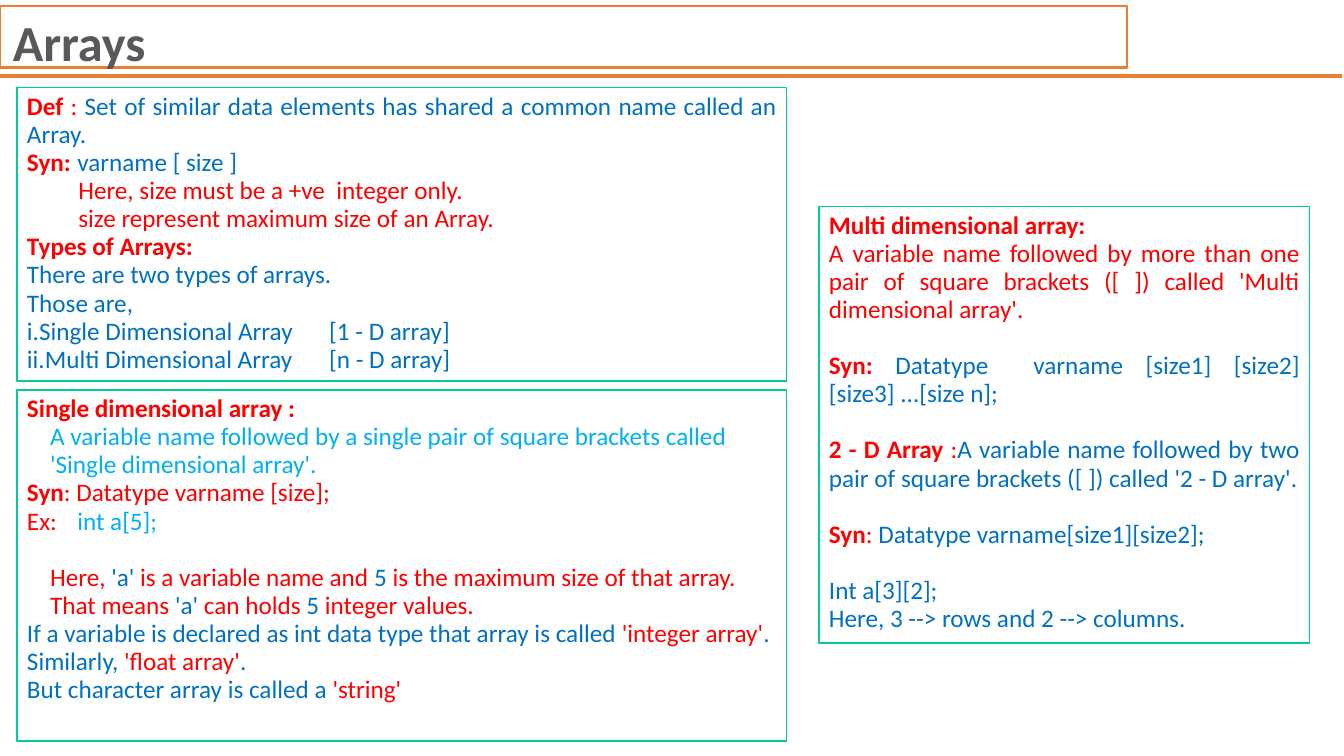
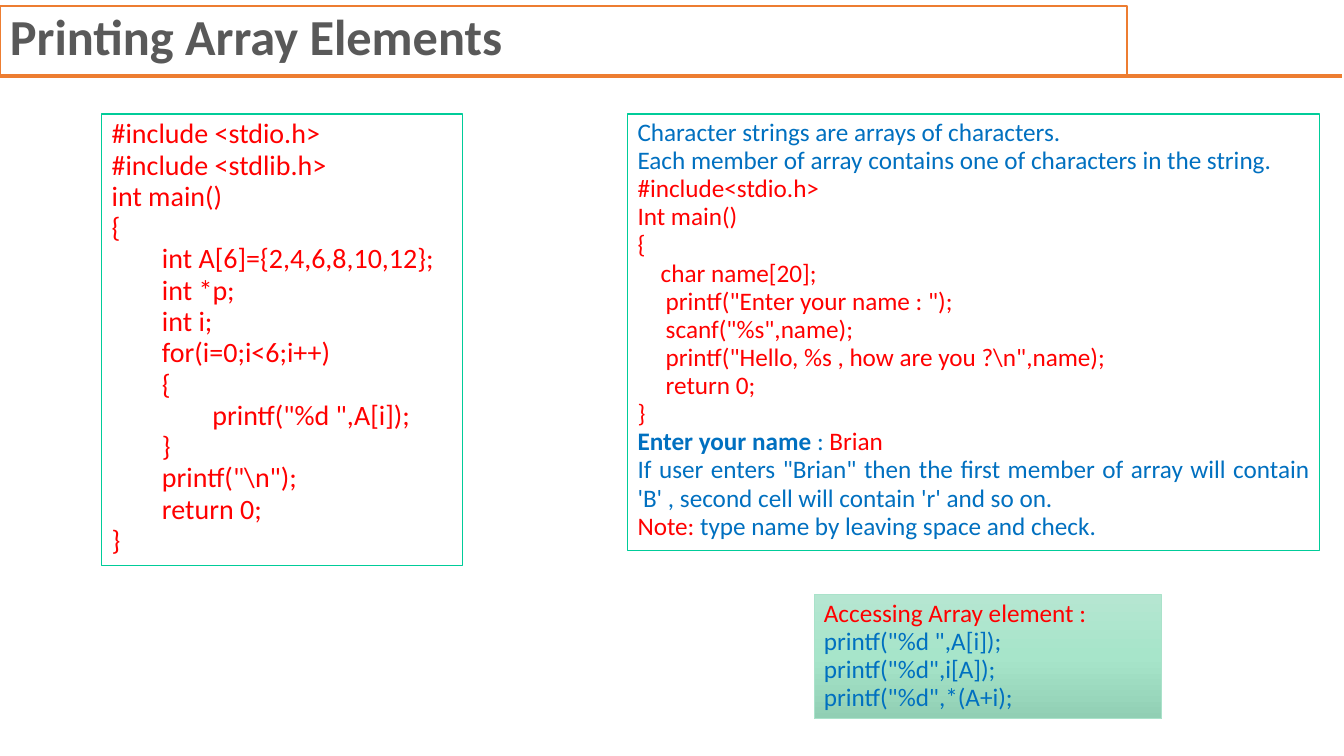
"""Builds two lecture slides about arrays in C."""
from pptx import Presentation
from pptx.dml.color import RGBColor as Rgb
from pptx.enum.shapes import MSO_CONNECTOR as Link, MSO_SHAPE as Form
from pptx.enum.text import MSO_ANCHOR as Anchor, PP_ALIGN as Align
from pptx.oxml.ns import qn
from pptx.util import Inches, Pt
from lxml.etree import SubElement

RED, BLUE, SKY = "FF0000", "0070C0", "00B0F0"
ORANGE, GREEN, GREY, WHITE = "ED7D31", "00CC99", "595959", "FFFFFF"
MINT_EDGE, MINTS = "AAE2CA", [(0, "B5E6D1"), (50, "A7E5CA"), (100, "91CFB4")]
INKS = {"key": (RED, True), "red": (RED, False), "blue": (BLUE, False),
        "prompt": (BLUE, True), "sky": (SKY, False), "title": (GREY, True)}


def colour(hex_code):
    return Rgb.from_string(hex_code)


def line(*runs, indent=0, gap=0, tab=None):
    return {"runs": runs, "indent": indent, "gap": gap, "tab": tab}


def listing(ink, rows):
    return [line((ink, text), indent=indent) for indent, text in rows]


class Deck:
    font, leading, text_gap = "Calibri", 0.93, 20

    def __init__(self, width, height):
        self.show = Presentation()
        self.show.slide_width, self.show.slide_height = Inches(width), Inches(height)
        self.slide = None

    def across(self, percent):
        return round(self.show.slide_width * percent / 100)

    def down(self, percent):
        return round(self.show.slide_height * percent / 100)

    def area(self, left, top, width, height):
        return self.across(left), self.down(top), self.across(width), self.down(height)

    def new_slide(self, title, title_at, band_height):
        self.slide = self.show.slides.add_slide(self.show.slide_layouts[6])
        self.rule(10.07)
        self.rect((0, 0.8, 83.88, band_height), ORANGE, 1.5).fill.background()
        heading = self.slide.shapes.add_textbox(*self.area(*title_at, 60, 10.8))
        self.set_text(heading.text_frame, [line(("title", title))], 36, Align.LEFT, 1)

    def rule(self, row):
        y = self.down(row)
        stroke = self.slide.shapes.add_connector(Link.STRAIGHT, 0, y, self.across(99.85), y)
        stroke.line.color.rgb, stroke.line.width = colour(ORANGE), Pt(3)
        SubElement(stroke._element.spPr, qn("a:effectLst"))

    def rect(self, place, edge, weight):
        shape = self.slide.shapes.add_shape(Form.RECTANGLE, *self.area(*place))
        shape.shadow.inherit = False
        shape.line.color.rgb, shape.line.width = colour(edge), Pt(weight)
        return shape

    def panel(self, place, lines, size=18):
        shape = self.rect(place, GREEN, 1)
        shape.fill.solid()
        shape.fill.fore_color.rgb = colour(WHITE)
        self.set_text(shape.text_frame, lines, size, Align.JUSTIFY, self.leading)

    def shaded_panel(self, place, lines):
        shape = self.rect(place, MINT_EDGE, 0.5)
        shape.fill.gradient()
        shape.fill.gradient_angle = 270
        stops = next(shape._element.iter(qn("a:gsLst")))
        stops.clear()
        for percent, tint in MINTS:
            stop = SubElement(stops, qn("a:gs"), pos=str(percent * 1000))
            SubElement(stop, qn("a:srgbClr"), val=tint)
        self.set_text(shape.text_frame, lines, 18, Align.LEFT, self.leading)

    def set_text(self, frame, lines, size, align, leading):
        frame.word_wrap, frame.vertical_anchor = True, Anchor.TOP
        for number, row in enumerate(lines):
            paragraph = frame.add_paragraph() if number else frame.paragraphs[0]
            paragraph.alignment, paragraph.line_spacing = align, leading
            paragraph.space_before = Pt(row["gap"] * self.text_gap)
            props = paragraph._p.get_or_add_pPr()
            props.set("marL", str(Inches(row["indent"])))
            props.set("indent", "0")
            if row["tab"]:
                tabs = SubElement(props, qn("a:tabLst"))
                SubElement(tabs, qn("a:tab"), pos=str(Inches(row["tab"])), algn="l")
            for ink, text in row["runs"]:
                run = paragraph.add_run()
                run.text = text
                run.font.name, run.font.size = self.font, Pt(size)
                tone, run.font.bold = INKS[ink]
                run.font.color.rgb = colour(tone)

    def save(self):
        self.show.save("out.pptx")


def arrays(deck):
    deck.new_slide("Arrays", (0.22, 0.8), 8.13)
    deck.panel((1.27, 11.6, 57.27, 38.8), [
        line(("key", "Def "), ("red", ": "),
             ("blue", "Set of similar data elements has shared a common name called an Array.")),
        line(("key", "Syn:"), ("blue", "\tvarname [ size ]"), tab=0.67),
        line(("red", "Here, size must be a +ve  integer only."), indent=0.51),
        line(("red", "size represent maximum size of an Array."), indent=0.51),
        line(("key", "Types of Arrays:")),
        line(("blue", "There are two types of arrays.")),
        line(("blue", "Those are,")),
        line(("blue", "i.Single Dimensional Array\t[1 - D array]"), tab=3.1),
        line(("blue", "ii.Multi Dimensional Array\t[n - D array]"), tab=3.15),
    ])
    deck.panel((1.27, 51.6, 57.27, 46.4), [
        line(("key", "Single dimensional array :")),
        line(("sky", "A variable name followed by a single pair of square brackets called"),
             indent=0.23),
        line(("sky", "'Single dimensional array'."), indent=0.23),
        line(("key", "Syn"), ("red", ": Datatype varname [size];")),
        line(("red", "Ex:"), ("sky", "\tint a[5];"), tab=0.47),
        line(("red", "Here, "), ("blue", "'a'"), ("red", " is a variable name and"),
             ("blue", " 5"), ("red", " is the maximum size of that array."), indent=0.23, gap=1),
        line(("red", "That means "), ("blue", "'a'"), ("red", " can holds "), ("blue", "5"),
             ("red", " integer values."), indent=0.23),
        line(("blue", "If a variable is declared as int data type that array is called "),
             ("red", "'integer array'"), ("blue", ".")),
        line(("blue", "Similarly,"), ("red", " 'float array'"), ("blue", ".")),
        line(("blue", "But character array is called a "), ("red", "'string'")),
    ])
    deck.panel((60.94, 27.33, 36.51, 57.73), [
        line(("key", "Multi dimensional array:")),
        line(("red", "A variable name followed by more than one pair of square brackets"
                     " ([ ]) called 'Multi dimensional array'.")),
        line(("key", "Syn: "),
             ("blue", "Datatype  varname [size1] [size2] [size3] ...[size n];"), gap=1),
        line(("key", "2 - D Array"), ("red", " :"),
             ("blue", "A variable name followed by two pair of square brackets"
                      " ([ ]) called '2 - D array'."), gap=1),
        line(("key", "Syn"), ("red", ": "), ("blue", "Datatype varname[size1][size2];"), gap=1),
        line(("blue", "Int a[3][2];"), gap=1),
        line(("blue", "Here, 3 --> rows and 2 --> columns.")),
    ])


def printing(deck):
    deck.new_slide("Printing Array Elements", (0, 0), 9.2)
    deck.panel((7.57, 15.07, 26.84, 59.73), listing("red", [
        (0, "#include <stdio.h>"),
        (0, "#include <stdlib.h>"),
        (0, "int main()"),
        (0, "{"),
        (0.5, "int A[6]={2,4,6,8,10,12};"),
        (0.5, "int *p;"),
        (0.5, "int i;"),
        (0.5, "for(i=0;i<6;i++)"),
        (0.5, "{"),
        (1, 'printf("%d ",A[i]);'),
        (0.5, "}"),
        (0.5, r'printf("\n");'),
        (0.5, "return 0;"),
        (0, "}"),
    ]), size=20)
    deck.panel((46.7, 15.07, 51.5, 57.73), [
        line(("blue", "Character strings are arrays of characters.")),
        line(("blue", "Each member of array contains one of characters in the string.")),
        *listing("red", [
            (0, "#include<stdio.h>"),
            (0, "Int main()"),
            (0, "{"),
            (0.23, "char name[20];"),
            (0.28, 'printf("Enter your name : ");'),
            (0.28, 'scanf("%s",name);'),
            (0.28, r'printf("Hello, %s , how are you ?\n",name);'),
            (0.28, "return 0;"),
            (0, "}"),
        ]),
        line(("prompt", "Enter your name"), ("blue", " :"), ("red", " Brian")),
        line(("blue", 'If user enters "Brian" then the first member of array will contain'
                      " 'B' , second cell will contain 'r' and so on.")),
        line(("red", "Note:"), ("blue", " type name by leaving space and check.")),
    ])
    deck.shaded_panel((60.57, 78.67, 25.86, 16.4), [
        line(("red", "Accessing Array element :")),
        *listing("blue", [(0, 'printf("%d ",A[i]);'), (0, 'printf("%d",i[A]);'),
                          (0, 'printf("%d",*(A+i);')]),
    ])


def main():
    deck = Deck(13.34, 7.5)
    arrays(deck)
    printing(deck)
    deck.save()


if __name__ == "__main__":
    main()
